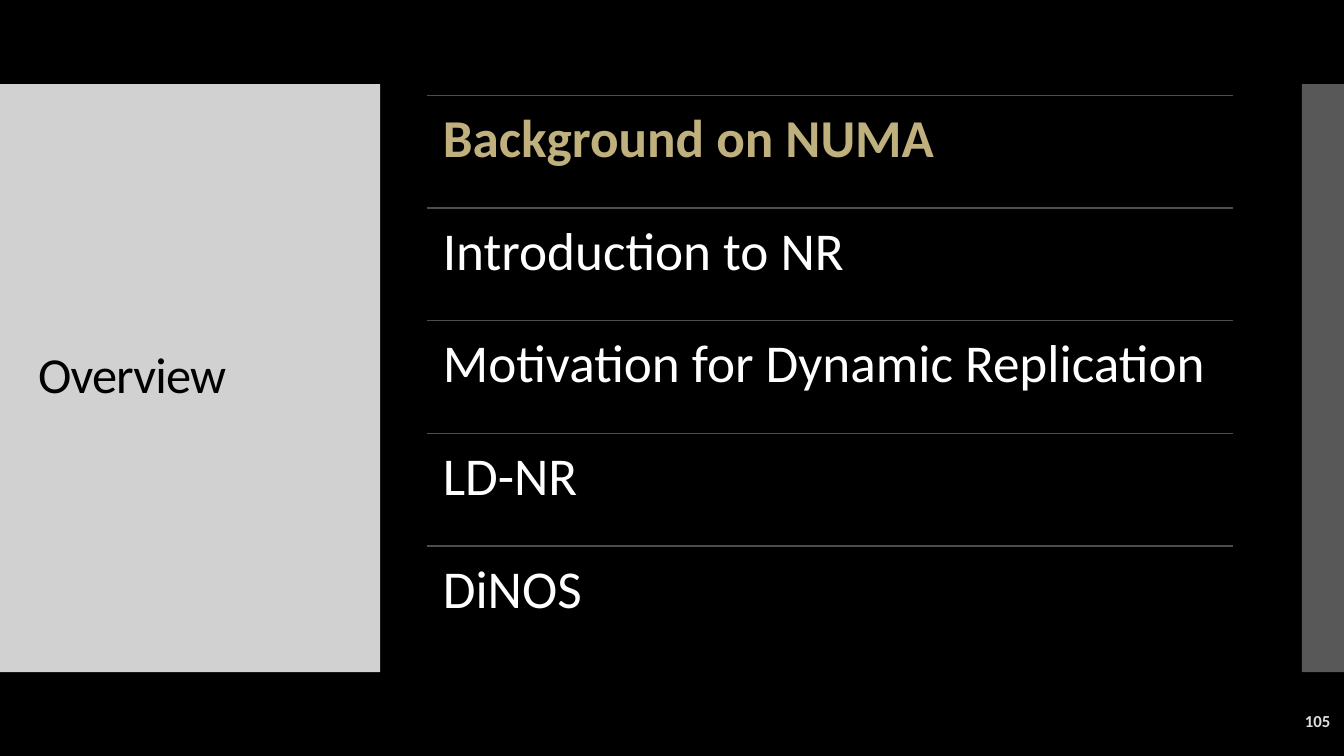
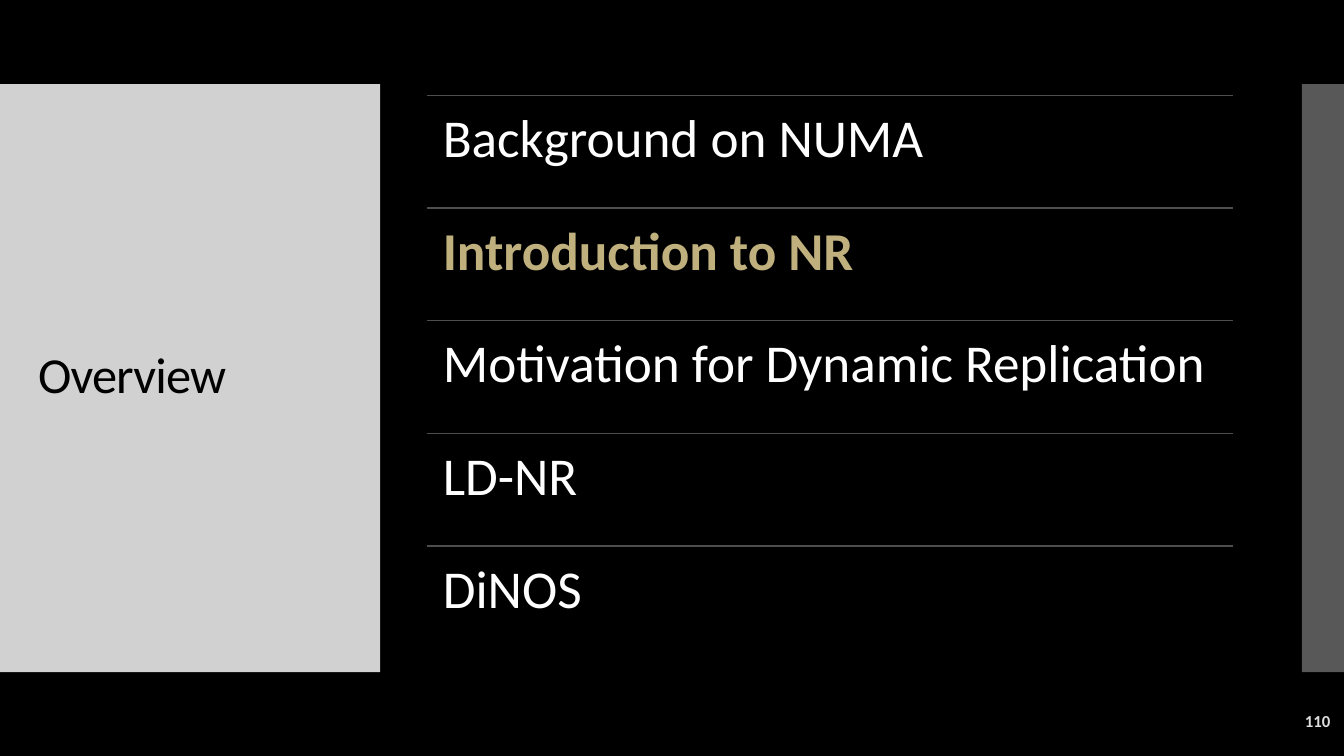
from dataclasses import dataclass

from lxml import etree
from pptx import Presentation
from pptx.dml.color import RGBColor
from pptx.enum import shapes, text
from pptx.oxml import ns
from pptx.slide import Slide
from pptx.util import Cm, Pt

COLORS = {
    "background": "000000",
    "panel": "DDDDDD",
    "title": "000000",
    "item": "FFFFFF",
    "current": "BFB07D",
    "rule": "4D4D4D",
    "number": "DDDDDD",
}
FONT = "Calibri"
TOPICS = (
    "Background on NUMA",
    "Introduction to NR",
    "Motivation for Dynamic Replication",
    "LD-NR",
    "DiNOS",
)
LIST_LEFT, LIST_TOP, LIST_WIDTH, ROW_HEIGHT = 10.75, 2.4, 20.32, 2.84


@dataclass(frozen=True)
class Box:
    """Position and size in centimetres."""
    left: float
    top: float
    width: float
    height: float

    def lengths(self) -> tuple[Cm, Cm, Cm, Cm]:
        return Cm(self.left), Cm(self.top), Cm(self.width), Cm(self.height)


@dataclass(frozen=True)
class Panel:
    box: Box
    opacity: int


@dataclass(frozen=True)
class TextStyle:
    size: float
    color: str
    bold: bool = False
    align: text.PP_ALIGN = text.PP_ALIGN.LEFT
    anchor: text.MSO_ANCHOR = text.MSO_ANCHOR.MIDDLE
    line_spacing: float = 1.0
    inset: tuple[float, float] = (0.25, 0.13)
    tracking: float = 0


@dataclass(frozen=True)
class Overview:
    number: int
    current: int


PANELS = (
    Panel(Box(0, 2.12, 9.58, 14.82), 95),
    Panel(Box(32.81, 2.12, 1.06, 14.82), 40),
)
TITLE_BOX = Box(0.71, 3.12, 8.18, 12.78)
NUMBER_BOX = Box(29.54, 17.65, 4.24, 1.02)

TITLE = TextStyle(36, "title", line_spacing=0.9, tracking=-0.6)
NUMBER = TextStyle(12, "number", bold=True, align=text.PP_ALIGN.RIGHT)
ITEM = TextStyle(38, "item", anchor=text.MSO_ANCHOR.TOP,
                 line_spacing=0.9, inset=(0.41, 0.41))
CURRENT = TextStyle(38, "current", bold=True, anchor=text.MSO_ANCHOR.TOP,
                    line_spacing=0.9, inset=(0.41, 0.41))

OVERVIEWS = (Overview(number=105, current=0), Overview(number=110, current=1))


def rgb(name: str) -> RGBColor:
    return RGBColor.from_string(COLORS[name])


def add_panel(s: Slide, panel: Panel) -> None:
    sp = s.shapes.add_shape(shapes.MSO_SHAPE.RECTANGLE, *panel.box.lengths())
    sp.shadow.inherit = False
    sp.line.fill.background()
    sp.fill.solid()
    sp.fill.fore_color.rgb = rgb("panel")
    color = sp._element.spPr.find(".//" + ns.qn("a:srgbClr"))
    etree.SubElement(color, ns.qn("a:alpha"), val=str(panel.opacity * 1000))


def add_text(s: Slide, box: Box, content: str, style: TextStyle) -> None:
    tf = s.shapes.add_textbox(*box.lengths()).text_frame
    tf.word_wrap = True
    tf.vertical_anchor = style.anchor
    tf.margin_left = tf.margin_right = Cm(style.inset[0])
    tf.margin_top = tf.margin_bottom = Cm(style.inset[1])
    p = tf.paragraphs[0]
    r = p.add_run()
    r.text = content
    p.alignment = style.align
    p.line_spacing = style.line_spacing
    p.font.name = FONT
    p.font.size = Pt(style.size)
    p.font.bold = style.bold
    p.font.color.rgb = rgb(style.color)
    if style.tracking:
        r._r.get_or_add_rPr().set("spc", str(round(style.tracking * 100)))


def add_rule(s: Slide, top: float) -> None:
    line = s.shapes.add_connector(
        shapes.MSO_CONNECTOR.STRAIGHT,
        Cm(LIST_LEFT), Cm(top), Cm(LIST_LEFT + LIST_WIDTH), Cm(top))
    line.line.color.rgb = rgb("rule")
    line.line.width = Pt(0.85)
    etree.SubElement(line._element.spPr, ns.qn("a:effectLst"))


def add_topics(s: Slide, current: int) -> None:
    for i, topic in enumerate(TOPICS):
        top = LIST_TOP + i * ROW_HEIGHT
        add_rule(s, top)
        add_text(s, Box(LIST_LEFT, top, LIST_WIDTH, ROW_HEIGHT), topic,
                 CURRENT if i == current else ITEM)


def add_overview(prs: Presentation, overview: Overview) -> None:
    s = prs.slides.add_slide(prs.slide_layouts[6])
    s.background.fill.solid()
    s.background.fill.fore_color.rgb = rgb("background")
    for panel in PANELS:
        add_panel(s, panel)
    add_text(s, TITLE_BOX, "Overview", TITLE)
    add_topics(s, overview.current)
    add_text(s, NUMBER_BOX, str(overview.number), NUMBER)


def main() -> None:
    prs = Presentation()
    prs.slide_width, prs.slide_height = Cm(33.87), Cm(19.05)
    for overview in OVERVIEWS:
        add_overview(prs, overview)
    prs.save("out.pptx")


if __name__ == "__main__":
    main()
